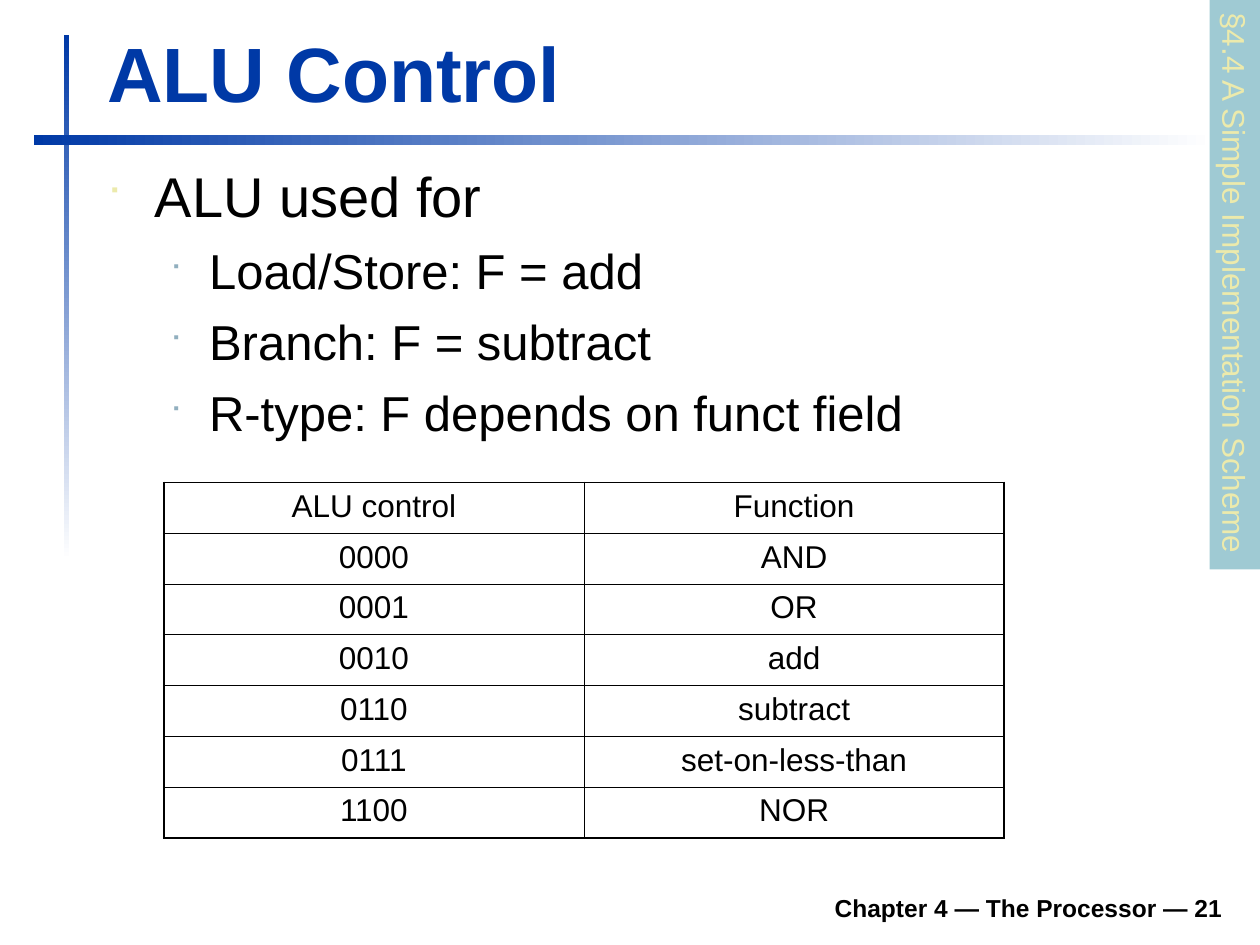
from lxml import etree
from pptx import Presentation
from pptx.dml.color import RGBColor
from pptx.enum.shapes import MSO_SHAPE
from pptx.enum.text import MSO_ANCHOR, MSO_AUTO_SIZE, PP_ALIGN
from pptx.oxml.ns import qn
from pptx.util import Inches, Pt

RECTANGLE = MSO_SHAPE.RECTANGLE
TOP, BOTTOM = MSO_ANCHOR.TOP, MSO_ANCHOR.BOTTOM
LEFT, CENTER, RIGHT = PP_ALIGN.LEFT, PP_ALIGN.CENTER, PP_ALIGN.RIGHT
GROW, FIXED = MSO_AUTO_SIZE.SHAPE_TO_FIT_TEXT, MSO_AUTO_SIZE.NONE

BLUE, WHITE, BLACK = "0039A6", "FFFFFF", "000000"
SAND, TEAL, GREY_BLUE = "ECEAAC", "9FCAD3", "91AFBF"
FONT = "Arial"

# Per level: text size, space before, left indent, hanging indent, bullet colour, bullet %
LEVELS = [
    (32, 8, 0.38, 0.38, SAND, 60),
    (28, 7, 0.81, 0.31, GREY_BLUE, 55),
]
USES = [
    (0, "ALU used for"),
    (1, "Load/Store: F = add"),
    (1, "Branch: F = subtract"),
    (1, "R-type: F depends on funct field"),
]
ALU_FUNCTIONS = [
    ("ALU control", "Function"),
    ("0000", "AND"),
    ("0001", "OR"),
    ("0010", "add"),
    ("0110", "subtract"),
    ("0111", "set-on-less-than"),
    ("1100", "NOR"),
]
OUTER, HEADER_RULE, INNER = 1.08, 0.75, 0.45


def color(hex_value):
    return RGBColor.from_string(hex_value)


def write(para, text, size=18, fill=BLACK, bold=False, align=LEFT):
    para.alignment = align
    span = para.add_run()
    span.text = text
    span.font.name = FONT
    span.font.size = Pt(size)
    span.font.bold = bold
    span.font.color.rgb = color(fill)


def place(shape, box):
    shape.left, shape.top, shape.width, shape.height = map(Inches, box)


def add_rectangle(page, box):
    shape = page.shapes.add_shape(RECTANGLE, *map(Inches, box))
    shape.shadow.inherit = False
    shape.line.fill.background()
    return shape


def add_fading_bar(page, box, angle):
    """Bar that fades from blue to white; angle is counter-clockwise."""
    fill = add_rectangle(page, box).fill
    fill.gradient()
    fill.gradient_angle = angle
    for stop, shade in zip(fill.gradient_stops, (BLUE, WHITE)):
        stop.color.rgb = color(shade)


def add_title(page, box, text):
    title = page.shapes.title
    place(title, box)
    frame = title.text_frame
    frame.vertical_anchor = BOTTOM
    frame.auto_size = GROW
    write(frame.paragraphs[0], text, size=44, fill=BLUE, bold=True)


def set_bullet(para, left, hanging, shade, percent):
    properties = para._p.get_or_add_pPr()
    properties.set("marL", str(Inches(left)))
    properties.set("indent", str(-Inches(hanging)))
    bullet_color = etree.SubElement(properties, qn("a:buClr"))
    etree.SubElement(bullet_color, qn("a:srgbClr"), val=shade)
    etree.SubElement(properties, qn("a:buSzPct"), val=str(percent * 1000))
    etree.SubElement(properties, qn("a:buFont"), typeface="Wingdings")
    etree.SubElement(properties, qn("a:buChar"), char="■")


def add_list(page, box, items):
    body = page.placeholders[1]
    place(body, box)
    frame = body.text_frame
    frame.vertical_anchor = TOP
    frame.auto_size = FIXED
    for index, (level, text) in enumerate(items):
        para = frame.add_paragraph() if index else frame.paragraphs[0]
        size, before, left, hanging, shade, percent = LEVELS[level]
        para.level = level
        set_bullet(para, left, hanging, shade, percent)
        para.space_before = Pt(before if index else 0)
        write(para, text, size=size)


def add_section_tab(page, box, text):
    tab = add_rectangle(page, box)
    tab.rotation = 90
    tab.fill.solid()
    tab.fill.fore_color.rgb = color(TEAL)
    frame = tab.text_frame
    frame.word_wrap = False
    frame.auto_size = GROW
    frame.vertical_anchor = TOP
    write(frame.paragraphs[0], text, fill=SAND)


def set_borders(cell, **widths):
    properties = cell._tc.get_or_add_tcPr()
    for side in "LRTB":
        line = etree.SubElement(properties, qn(f"a:ln{side}"), w=str(Pt(widths[side])))
        solid = etree.SubElement(line, qn("a:solidFill"))
        etree.SubElement(solid, qn("a:srgbClr"), val=BLACK)


def add_function_table(page, box, rows):
    last_row, last_column = len(rows) - 1, len(rows[0]) - 1
    table = page.shapes.add_table(len(rows), len(rows[0]), *map(Inches, box)).table
    table.first_row = table.horz_banding = False
    row_rules = [OUTER, HEADER_RULE] + [INNER] * (last_row - 1) + [OUTER]
    column_rules = [OUTER] + [INNER] * last_column + [OUTER]
    for row, texts in enumerate(rows):
        for column, text in enumerate(texts):
            cell = table.cell(row, column)
            set_borders(cell, L=column_rules[column], R=column_rules[column + 1],
                        T=row_rules[row], B=row_rules[row + 1])
            cell.fill.background()
            write(cell.text_frame.paragraphs[0], text, align=CENTER)


def add_footer(page, box, text):
    frame = page.shapes.add_textbox(*map(Inches, box)).text_frame
    frame.word_wrap = True
    frame.vertical_anchor = BOTTOM
    write(frame.paragraphs[0], text, size=14, bold=True, align=RIGHT)


def main():
    deck = Presentation()
    deck.slide_width, deck.slide_height = Inches(10), Inches(7.5)
    page = deck.slides.add_slide(deck.slide_layouts[1])
    add_fading_bar(page, (0.51, 0.28, 0.04, 4.17), angle=270)
    add_fading_bar(page, (0.27, 1.07, 9.37, 0.08), angle=0)
    add_footer(page, (1.85, 6.98, 7.95, 0.39), "Chapter 4 — The Processor — 21")
    add_title(page, (0.75, 0.16, 9.03, 0.83), "ALU Control")
    add_list(page, (0.75, 1.23, 9.04, 2.6), USES)
    add_section_tab(page, (7.54, 2.06, 4.52, 0.4), "§4.4 A Simple Implementation Scheme")
    add_function_table(page, (1.3, 3.83, 6.67, 2.82), ALU_FUNCTIONS)
    deck.save("out.pptx")


if __name__ == "__main__":
    main()
